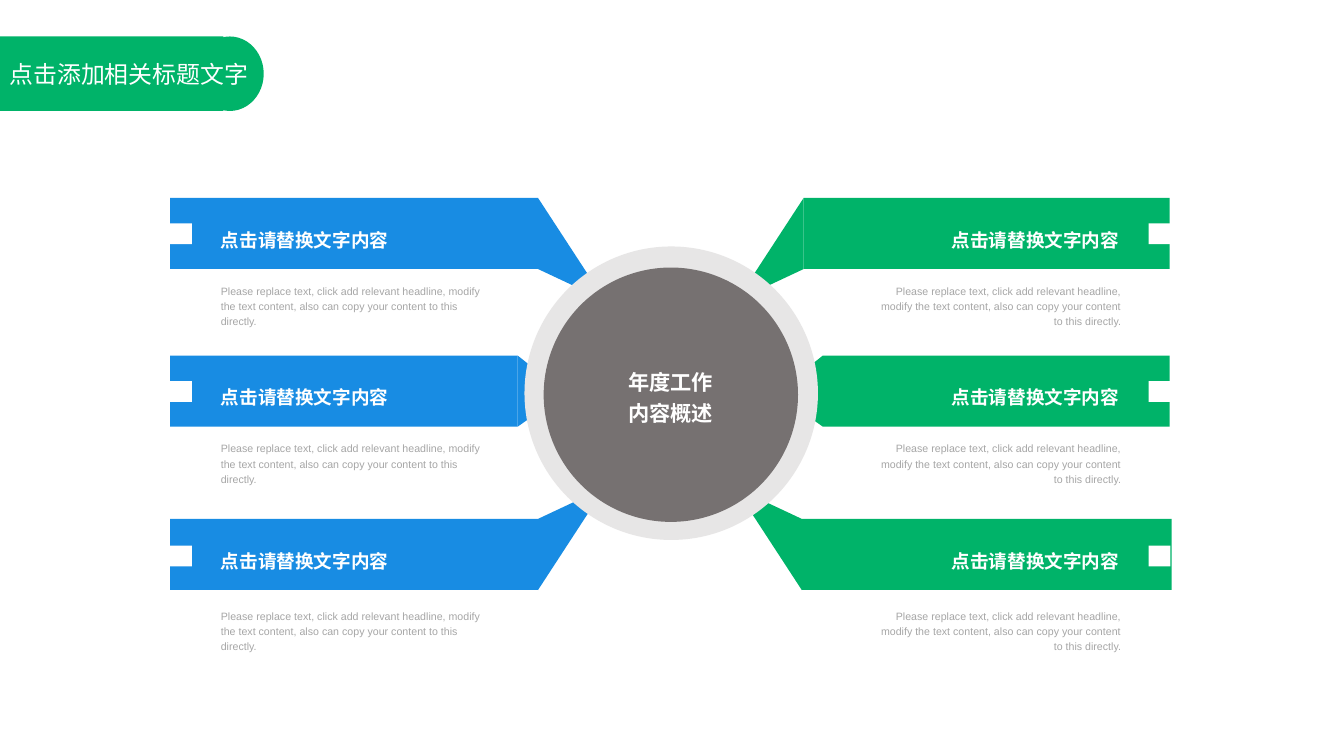
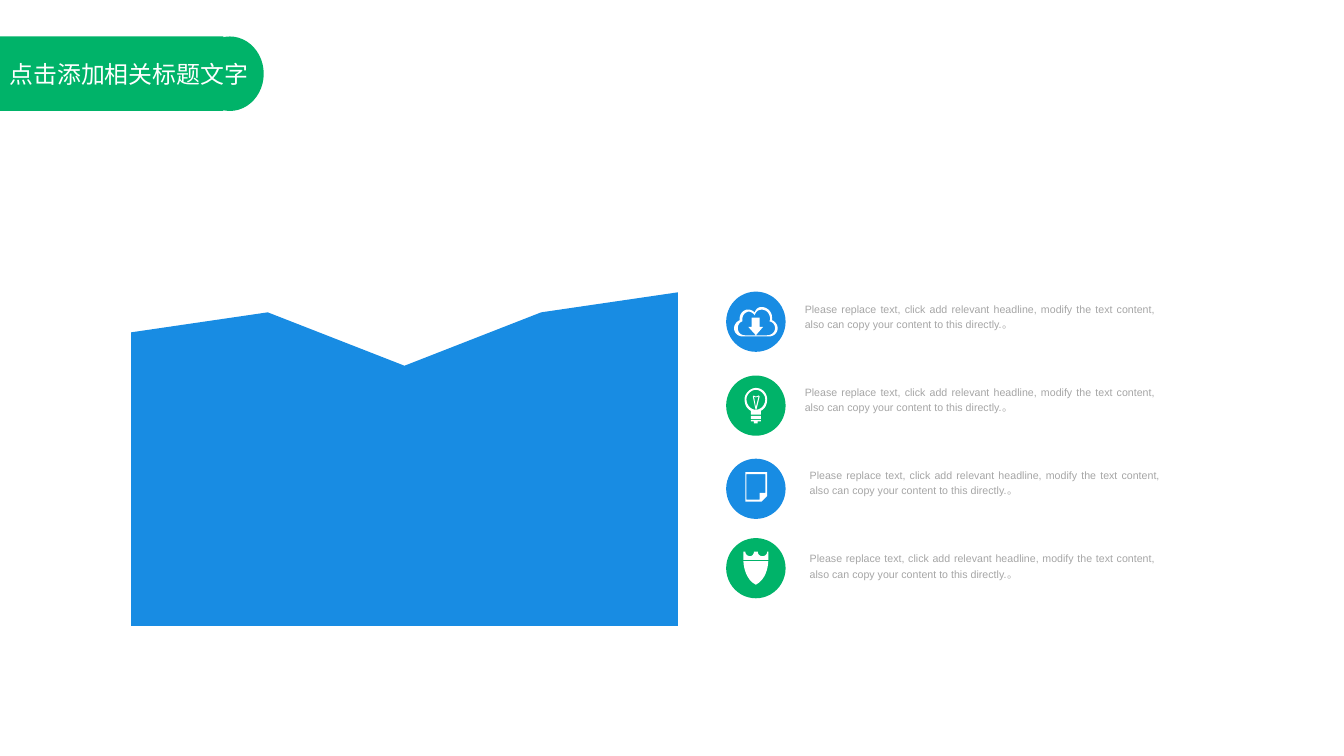
from dataclasses import dataclass
from typing import NamedTuple

from lxml.etree import SubElement
from pptx import Presentation
from pptx.chart.data import CategoryChartData
from pptx.dml.color import RGBColor
from pptx.enum.chart import XL_CHART_TYPE
from pptx.enum.shapes import MSO_SHAPE
from pptx.enum.text import MSO_ANCHOR, PP_ALIGN
from pptx.oxml.ns import qn
from pptx.shapes.autoshape import Shape
from pptx.slide import Slide
from pptx.text.text import TextFrame
from pptx.util import Cm, Pt


@dataclass(frozen=True)
class Theme:
    green: RGBColor = RGBColor(0x00, 0xB3, 0x69)
    blue: RGBColor = RGBColor(0x18, 0x8C, 0xE3)
    white: RGBColor = RGBColor(0xFF, 0xFF, 0xFF)
    ring: RGBColor = RGBColor(0xE7, 0xE6, 0xE6)
    hub: RGBColor = RGBColor(0x76, 0x71, 0x71)
    muted: RGBColor = RGBColor(0xA6, 0xA6, 0xA6)
    black: RGBColor = RGBColor(0x00, 0x00, 0x00)
    latin_font: str = "Arial"
    chinese_font: str = "Noto Sans CJK SC"
    title_size: int = 18
    hub_size: int = 16
    heading_size: int = 14
    body_size: int = 8


THEME = Theme()


class Box(NamedTuple):
    left: float
    top: float
    width: float
    height: float


class Style(NamedTuple):
    size: int
    color: RGBColor
    bold: bool = False
    line_spacing: float = 1.0
    font: str = THEME.latin_font


TITLE = Style(THEME.title_size, THEME.white, font=THEME.chinese_font)
HUB = Style(THEME.hub_size, THEME.white, True, 1.2)
HEADING = Style(THEME.heading_size, THEME.white, True, 1.3)
BODY = Style(THEME.body_size, THEME.muted, line_spacing=1.2)

BODY_TEXT = (
    "Please replace text, click add relevant headline, modify the text content, "
    "also can copy your content to this directly."
)

Contour = tuple[tuple[float, ...], ...]


@dataclass(frozen=True)
class Row:
    top: float
    notch_top: float
    heading_top: float
    body_top: float
    wedge: Contour


@dataclass(frozen=True)
class Side:
    color: RGBColor
    direction: int
    outer_edges: tuple[float, float, float]
    inner_edges: tuple[float, float, float]
    notch_left: float
    heading_left: float
    body_left: float
    body_width: float
    align: PP_ALIGN


@dataclass(frozen=True)
class Point:
    color: RGBColor
    circle_top: float
    text_left: float
    text_top: float
    text_width: float
    icon: tuple[Contour, ...]


RIBBON_HEIGHT = 1.89
ROWS = (
    Row(5.26, 5.94, 5.79, 7.37, ((0, 0), (1.52, 2.33), (1.32, 2.51), (0, RIBBON_HEIGHT))),
    Row(9.45, 10.13, 9.96, 11.56, ((0, 0), (1.02, 0.81), (1.02, 1.17), (0, RIBBON_HEIGHT))),
    Row(13.79, 14.5, 14.3, 16, ((0, RIBBON_HEIGHT), (1.52, -0.44), (1.32, -0.62), (0, 0))),
)
SIDES = (
    Side(THEME.blue, 1, (4.52, 4.52, 4.52), (14.3, 13.76, 14.3),
         4.52, 5.87, 5.87, 6.93, PP_ALIGN.LEFT),
    Side(THEME.green, -1, (31.09, 31.09, 31.14), (21.36, 21.87, 21.31),
         30.53, 22.1, 23.22, 6.58, PP_ALIGN.RIGHT),
)

CLOUD = (
    (
        (0.43, -0.04), (0.43, -0.11), (0.43, -0.27, 0.3, -0.39, 0.15, -0.39),
        (0, -0.39, -0.03, -0.24, -0.03, -0.24), (-0.03, -0.24, -0.1, -0.34, -0.25, -0.32),
        (-0.36, -0.29, -0.43, -0.19, -0.43, -0.09), (-0.43, -0.04),
        (-0.51, -0.01, -0.58, 0.09, -0.58, 0.17), (-0.58, 0.29, -0.48, 0.39, -0.36, 0.39),
        (0.36, 0.39), (0.48, 0.39, 0.58, 0.29, 0.58, 0.17),
        (0.58, 0.09, 0.51, -0.01, 0.43, -0.04),
    ),
    (
        (0.3, 0.36), (-0.3, 0.36), (-0.41, 0.36, -0.48, 0.27, -0.48, 0.17),
        (-0.48, 0.09, -0.43, 0.01, -0.36, -0.01), (-0.36, -0.06),
        (-0.36, -0.17, -0.3, -0.24, -0.2, -0.27), (-0.1, -0.27, -0.03, -0.17, -0.03, -0.17),
        (-0.03, -0.17, 0, -0.32, 0.15, -0.32), (0.28, -0.32, 0.38, -0.22, 0.38, -0.06),
        (0.36, -0.01), (0.46, 0.01, 0.51, 0.09, 0.51, 0.17),
        (0.51, 0.27, 0.43, 0.36, 0.3, 0.36),
    ),
    ((-0.11, -0.11), (0.1, -0.11), (0.1, 0.14), (0.19, 0.14),
     (0, 0.36), (-0.2, 0.14), (-0.11, 0.14)),
)
BULB = (
    (
        (0.3, -0.17), (0.3, -0.32, 0.18, -0.47, 0, -0.47),
        (-0.15, -0.47, -0.3, -0.32, -0.3, -0.17), (-0.3, -0.01, -0.23, 0.09, -0.13, 0.14),
        (-0.13, 0.24), (0.13, 0.24), (0.13, 0.14), (0.23, 0.09, 0.3, -0.01, 0.3, -0.17),
    ),
    (
        (0, 0.11), (-0.13, 0.11, -0.25, -0.01, -0.25, -0.17),
        (-0.25, -0.29, -0.13, -0.42, 0, -0.42), (0.13, -0.42, 0.25, -0.29, 0.25, -0.17),
        (0.25, -0.01, 0.13, 0.11, 0, 0.11),
    ),
    ((0.1, -0.24), (0.08, -0.27), (0, -0.24), (-0.06, -0.27),
     (-0.08, -0.24), (-0.01, 0.09), (0.02, 0.09)),
    ((0, 0.04), (-0.05, -0.24), (0, -0.22), (0.07, -0.24)),
    ((-0.13, 0.27), (0.13, 0.27), (0.13, 0.35), (-0.13, 0.35)),
    ((-0.13, 0.38), (0.13, 0.38), (0.13, 0.42), (0.05, 0.42),
     (0.05, 0.47), (-0.05, 0.47), (-0.05, 0.42), (-0.13, 0.42)),
)
PAGE = (
    ((-0.28, -0.44), (-0.28, 0.34), (0.15, 0.34), (0.3, 0.19), (0.3, -0.44)),
    ((-0.25, 0.29), (-0.25, -0.39), (0.25, -0.39), (0.25, 0.11), (0.1, 0.11), (0.1, 0.29)),
)
SHIELD = (
    ((0, 0.44), (0.33, 0.27, 0.33, -0.19, 0.33, -0.19), (-0.33, -0.19),
     (-0.33, -0.19, -0.33, 0.27, 0, 0.44)),
    (
        (0.3, -0.44), (0.3, -0.37, 0.25, -0.32, 0.18, -0.32),
        (0.1, -0.32, 0.05, -0.37, 0.05, -0.44), (-0.05, -0.44),
        (-0.05, -0.37, -0.1, -0.32, -0.15, -0.32), (-0.23, -0.32, -0.28, -0.37, -0.28, -0.44),
        (-0.33, -0.44), (-0.33, -0.22), (0.33, -0.22), (0.33, -0.44),
    ),
)
POINTS = (
    Point(THEME.blue, 7.75, 21.26, 7.9, 9.58, CLOUD),
    Point(THEME.green, 9.98, 21.26, 10.11, 9.58, BULB),
    Point(THEME.blue, 12.19, 21.39, 12.32, 9.58, PAGE),
    Point(THEME.green, 14.3, 21.39, 14.53, 9.45, SHIELD),
)
SERIES = (
    ("Series 1", (88, 94, 78, 94, 100), THEME.blue),
    ("Series 2", (69, 56, 62, 66, 88), THEME.green),
    ("Series 3", (47, 47, 47, 59, 56), THEME.blue),
    ("Series 4", (62, 38, 38, 28, 34), THEME.green),
)


def paint(shape: Shape, color: RGBColor) -> Shape:
    shape.shadow.inherit = False
    shape.fill.solid()
    shape.fill.fore_color.rgb = color
    shape.line.fill.background()
    return shape


def add_block(slide: Slide, kind: MSO_SHAPE, box: Box, color: RGBColor) -> Shape:
    return paint(slide.shapes.add_shape(kind, *map(Cm, box)), color)


def flatten(contour: Contour, left: float, top: float, steps: int = 10) -> list[tuple[int, int]]:
    points = [contour[0]]
    for segment in contour[1:]:
        if len(segment) == 2:
            points.append(segment)
            continue
        controls = (points[-1], segment[:2], segment[2:4], segment[4:])
        for step in range(1, steps + 1):
            t = step / steps
            weights = ((1 - t) ** 3, 3 * t * (1 - t) ** 2, 3 * t ** 2 * (1 - t), t ** 3)
            points.append(tuple(
                sum(weight * control[axis] for weight, control in zip(weights, controls))
                for axis in (0, 1)
            ))
    return [(Cm(left + x), Cm(top + y)) for x, y in points]


def add_outline(
    slide: Slide, contours: tuple[Contour, ...], left: float, top: float, color: RGBColor
) -> Shape:
    first, *others = [flatten(contour, left, top) for contour in contours]
    builder = slide.shapes.build_freeform(*first[0])
    builder.add_line_segments(first[1:], close=True)
    for points in others:
        builder.move_to(*points[0])
        builder.add_line_segments(points[1:], close=True)
    return paint(builder.convert_to_shape(), color)


def write(frame: TextFrame, lines: tuple[str, ...], style: Style, align: PP_ALIGN) -> None:
    frame.word_wrap = True
    for index, line in enumerate(lines):
        paragraph = frame.add_paragraph() if index else frame.paragraphs[0]
        paragraph.text = line
        paragraph.alignment = align
        paragraph.line_spacing = style.line_spacing
        font = paragraph.font
        font.size = Pt(style.size)
        font.bold = style.bold
        font.color.rgb = style.color
        font.name = style.font
        defaults = paragraph._p.pPr.find(qn("a:defRPr"))
        SubElement(defaults, qn("a:ea")).set("typeface", THEME.chinese_font)


def add_text(
    slide: Slide, box: Box, text: str, style: Style, align: PP_ALIGN = PP_ALIGN.LEFT,
    inset: tuple[float, float] = (0, 0.13), anchor: MSO_ANCHOR = MSO_ANCHOR.TOP,
) -> None:
    frame = slide.shapes.add_textbox(*map(Cm, box)).text_frame
    frame.margin_left = frame.margin_right = Cm(inset[0])
    frame.margin_top = frame.margin_bottom = Cm(inset[1])
    frame.vertical_anchor = anchor
    write(frame, (text,), style, align)


def add_titled_slide(presentation: Presentation) -> Slide:
    slide = presentation.slides.add_slide(presentation.slide_layouts[6])
    add_block(slide, MSO_SHAPE.RECTANGLE, Box(0, 0.97, 5.94, 1.98), THEME.green)
    add_block(slide, MSO_SHAPE.OVAL, Box(5.21, 0.97, 1.8, 1.98), THEME.green)
    add_text(slide, Box(0, 1.45, 7.01, 1.02), "点击添加相关标题文字", TITLE, inset=(0.25, 0.13))
    return slide


def add_ribbon(slide: Slide, side: Side, index: int) -> None:
    row = ROWS[index]
    inner, outer = side.inner_edges[index], side.outer_edges[index]
    body = Box(min(inner, outer), row.top, abs(outer - inner), RIBBON_HEIGHT)
    add_block(slide, MSO_SHAPE.RECTANGLE, body, side.color)
    wedge = tuple((side.direction * reach, drop) for reach, drop in row.wedge)
    add_outline(slide, (wedge,), inner, row.top, side.color)
    notch = Box(side.notch_left, row.notch_top, 0.58, 0.55)
    add_block(slide, MSO_SHAPE.RECTANGLE, notch, THEME.white)
    heading = Box(side.heading_left, row.heading_top, 7.65, 1.12)
    add_text(slide, heading, "点击请替换文字内容", HEADING, side.align)
    description = Box(side.body_left, row.body_top, side.body_width, 1.47)
    add_text(slide, description, BODY_TEXT, BODY, side.align, anchor=MSO_ANCHOR.MIDDLE)


def build_overview(presentation: Presentation) -> None:
    slide = add_titled_slide(presentation)
    for side in SIDES:
        for index in range(len(ROWS)):
            add_ribbon(slide, side, index)
    add_block(slide, MSO_SHAPE.OVAL, Box(13.94, 6.55, 7.8, 7.8), THEME.ring)
    hub = add_block(slide, MSO_SHAPE.OVAL, Box(14.45, 7.11, 6.76, 6.76), THEME.hub)
    hub.text_frame.vertical_anchor = MSO_ANCHOR.MIDDLE
    write(hub.text_frame, ("年度工作", "内容概述"), HUB, PP_ALIGN.CENTER)


def add_area_chart(slide: Slide) -> None:
    data = CategoryChartData()
    data.categories = ["1", "2", "3", "4", "5"]
    for name, values, _ in SERIES:
        data.add_series(name, values)
    box = Box(3.18, 6.68, 15.14, 10.16)
    chart = slide.shapes.add_chart(XL_CHART_TYPE.AREA, *map(Cm, box), data).chart
    chart.has_legend = chart.has_title = False
    chart.font.name = THEME.latin_font
    chart.font.size = Pt(THEME.title_size)
    chart.font.color.rgb = THEME.black
    chart.plots[0].vary_by_categories = False
    chart.category_axis.visible = chart.value_axis.visible = False
    chart.value_axis.has_major_gridlines = False
    chart.value_axis.minimum_scale, chart.value_axis.maximum_scale = 0, 110
    for series, (_, _, color) in zip(chart.plots[0].series, SERIES):
        series.format.fill.solid()
        series.format.fill.fore_color.rgb = color
        series.format.line.fill.background()


def build_trend(presentation: Presentation) -> None:
    slide = add_titled_slide(presentation)
    add_area_chart(slide)
    for point in POINTS:
        circle = Box(19.3, point.circle_top, 1.58, 1.6)
        add_block(slide, MSO_SHAPE.OVAL, circle, point.color)
        center = circle.left + circle.width / 2, circle.top + circle.height / 2
        add_outline(slide, point.icon, *center, THEME.white)
        text = Box(point.text_left, point.text_top, point.text_width, 0.97)
        add_text(slide, text, BODY_TEXT + "。", BODY, PP_ALIGN.JUSTIFY, (0.13, 0.08))


def main() -> None:
    presentation = Presentation()
    presentation.slide_width, presentation.slide_height = Cm(35.72), Cm(20.09)
    build_overview(presentation)
    build_trend(presentation)
    presentation.save("out.pptx")


if __name__ == "__main__":
    main()
